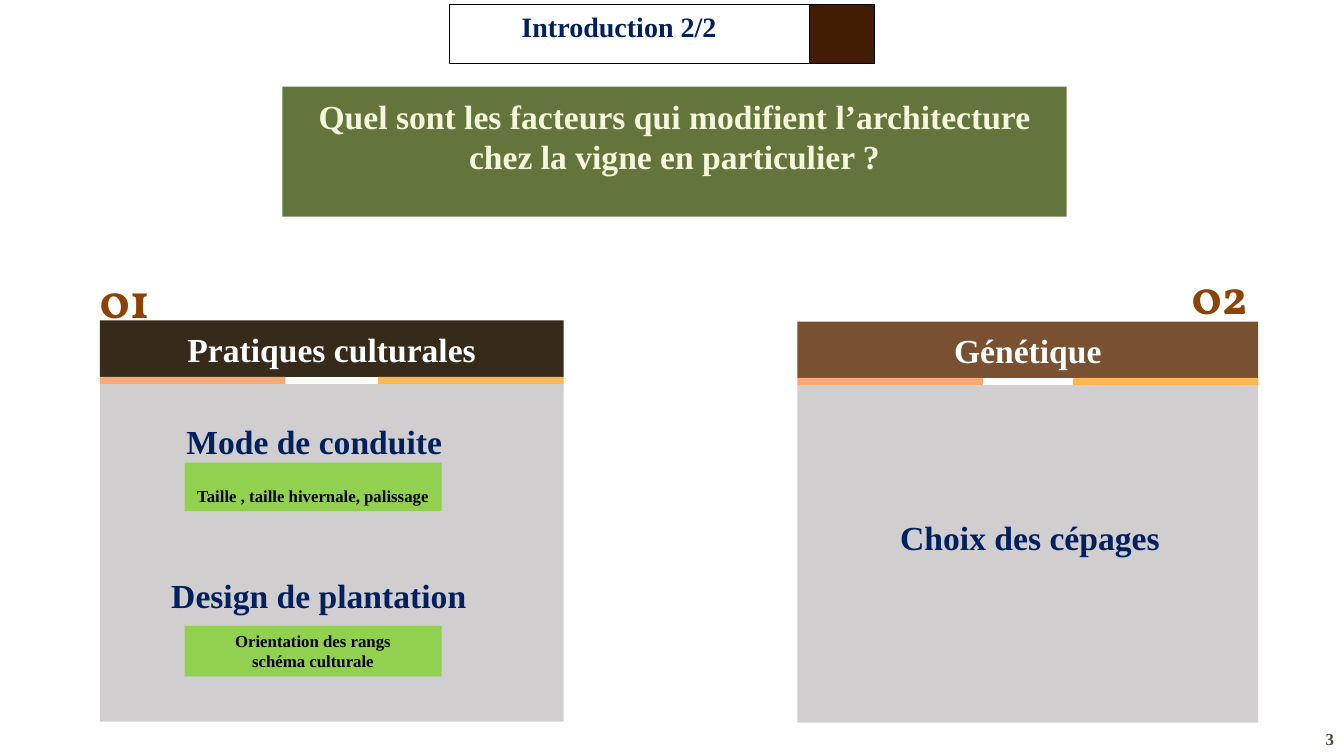
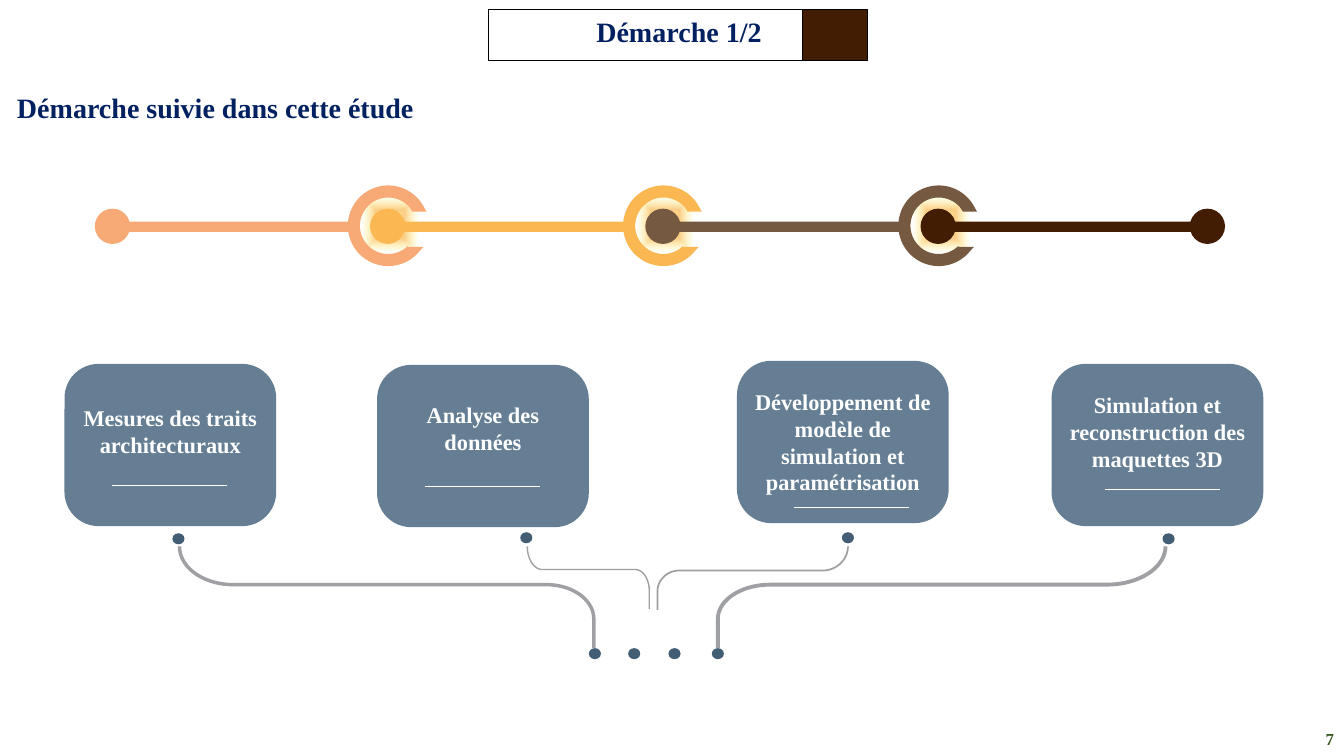
from dataclasses import dataclass
from math import cos, radians, sin
from typing import Any

from lxml.etree import SubElement
from pptx import Presentation
from pptx.dml.color import RGBColor
from pptx.enum.shapes import MSO_CONNECTOR as Link, MSO_SHAPE as Form
from pptx.enum.text import MSO_ANCHOR as Anchor, PP_ALIGN as Align
from pptx.oxml import parse_xml
from pptx.oxml.ns import nsdecls, qn
from pptx.util import Emu, Pt

EMU_PER_PX = 9144
Box = tuple[int, int, int, int]
Point = tuple[float, float]


@dataclass(frozen=True)
class Theme:
    serif: str = "Times New Roman"
    numeral: str = "Vollkorn"
    navy: str = "002060"
    white: str = "FFFFFF"
    black: str = "000000"
    bark: str = "421D04"
    soil: str = "362A1B"
    wood: str = "795030"
    umber: str = "755940"
    peach: str = "F8AA76"
    amber: str = "FBB752"
    rust: str = "8C4303"
    moss: str = "324A00"
    cream: str = "F4F7DA"
    leaf: str = "92D050"
    forest: str = "385723"
    panel: str = "AFABAB"
    slate: str = "657E93"
    ink: str = "435D74"
    wire: str = "9FA0A4"
    small: int = 12
    card: int = 16
    title: int = 20
    heading: int = 24
    number: int = 35


THEME = Theme()
GLOW_STOPS = ((15, "FFFEAA", 100), (31, "FBB752", 70), (63, "FFFB6C", 0))


@dataclass(frozen=True)
class TitleTag:
    text: str
    frame: Box
    label: Box
    page: str
    spacing: float = 1.0


@dataclass(frozen=True)
class Pillar:
    number: str
    number_at: Point
    heading: str
    left: int
    top: int
    width: int
    color: str


@dataclass(frozen=True)
class Step:
    text: str
    left: int
    top: int
    inset: int
    rule: Point
    dot: Point


@dataclass(frozen=True)
class Wire:
    start: Point
    first_end: float
    level: float
    second_start: float
    finish: Point
    drop: float
    weight: float


TAGS = (
    TitleTag("Introduction 2/2", (446, 4, 357, 59), (455, 8, 318, 41), "3", 0.9),
    TitleTag("Démarche 1/2", (484, 9, 312, 51), (487, 9, 373, 44), "7"),
)
PILLARS = (
    Pillar("01", (89, 269), "Pratiques culturales", 99, 318, 460, THEME.soil),
    Pillar("02", (1172, 265), "Génétique", 791, 319, 457, THEME.wood),
)
TOPICS = (
    ("Mode de conduite", (175, 413, 306, 50)),
    ("Design de plantation", (160, 565, 341, 50)),
    ("Choix des cépages", (883, 508, 295, 50)),
)
EXAMPLES = (
    ("Taille , taille hivernale, palissage", (183, 459, 255, 48), Anchor.BOTTOM),
    ("Orientation des rangs\nschéma culturale", (183, 621, 255, 50), Anchor.TOP),
)
STEPS = (
    Step("Mesures des traits architecturaux", 64, 361, 30, (111, 482), (171, 529)),
    Step("Analyse des données", 374, 362, 26, (422, 483), (516, 528)),
    Step("Développement de modèle de simulation et paramétrisation",
         731, 358, 17, (788, 503), (835, 528)),
    Step("Simulation et reconstruction des maquettes 3D",
         1043, 361, 17, (1096, 485), (1153, 529)),
)
WIRES = (
    Wire((178, 542), 231, 580, 542, (589, 643), 34, 2.5),
    Wire((523, 542), 538, 565, 630, (644, 604), 21, 1),
    Wire((841, 542), 816, 566, 674, (652, 605), 21, 1.25),
    Wire((1156, 542), 1098, 580, 764, (712, 643), 34, 2.75),
)
HUB_LEFTS = (584, 623, 663, 706)
STAGE_COLORS = (THEME.peach, THEME.amber, THEME.umber, THEME.bark)
STAGE_START, STAGE_PITCH, AXIS = 112, 273, 225
LAST_STOP = 1198


def px(length: float) -> Emu:
    return Emu(round(length * EMU_PER_PX))


def rgb(color: str) -> RGBColor:
    return RGBColor.from_string(color)


def assign(target: Any, values: dict[str, Any]) -> None:
    for attribute, value in values.items():
        setattr(target, attribute, value)


def paint(shape: Any, fill: str | None, line: str | None = None,
          weight: float = 0.25, alpha: int = 100) -> None:
    shape.shadow.inherit = False
    if fill:
        shape.fill.solid()
        shape.fill.fore_color.rgb = rgb(fill)
        if alpha < 100:
            color = shape.fill._xPr.find(qn("a:solidFill"))[0]
            SubElement(color, qn("a:alpha"), val=str(alpha * 1000))
    else:
        shape.fill.background()
    if line:
        shape.line.color.rgb = rgb(line)
        shape.line.width = Pt(weight)
    else:
        shape.line.fill.background()


def add_form(slide: Any, box: Box, fill: str | None, form: Form = Form.RECTANGLE,
             line: str | None = None, alpha: int = 100) -> Any:
    shape = slide.shapes.add_shape(form, *map(px, box))
    paint(shape, fill, line, alpha=alpha)
    return shape


def write(shape: Any, text: str, size: int, color: str, align: Align = Align.CENTER,
          anchor: Anchor = Anchor.TOP, insets: Box = (10, 5, 10, 5),
          font: str = THEME.serif, spacing: float = 1.0) -> None:
    frame = shape.text_frame
    left, top, right, bottom = map(px, insets)
    assign(frame, {"word_wrap": True, "vertical_anchor": anchor, "margin_left": left,
                   "margin_top": top, "margin_right": right, "margin_bottom": bottom})
    for index, words in enumerate(text.split("\n")):
        paragraph = frame.add_paragraph() if index else frame.paragraphs[0]
        assign(paragraph, {"alignment": align, "line_spacing": spacing})
        run = paragraph.add_run()
        run.text = words
        assign(run.font, {"name": font, "size": Pt(size), "bold": True})
        run.font.color.rgb = rgb(color)


def add_label(slide: Any, box: Box, text: str, size: int, color: str, **style: Any) -> None:
    write(slide.shapes.add_textbox(*map(px, box)), text, size, color, **style)


def add_outline(slide: Any, points: list[Point], closed: bool) -> Any:
    start, *others = [(px(x), px(y)) for x, y in points]
    builder = slide.shapes.build_freeform(*start, scale=1.0)
    builder.add_line_segments(others, close=closed)
    return builder.convert_to_shape()


def add_glow(slide: Any, center: float) -> None:
    glow = add_form(slide, (center - 43, AXIS - 48, 90, 90), THEME.amber, Form.OVAL)
    stops = "".join(
        f'<a:gs pos="{position * 1000}"><a:srgbClr val="{color}">'
        f'<a:alpha val="{alpha * 1000}"/></a:srgbClr></a:gs>'
        for position, color, alpha in GLOW_STOPS)
    gradient = parse_xml(
        f'<a:gradFill {nsdecls("a")}><a:gsLst>{stops}</a:gsLst><a:path path="shape">'
        '<a:fillToRect l="50000" t="50000" r="50000" b="50000"/></a:path></a:gradFill>')
    properties = glow._element.spPr
    properties.replace(properties.find(qn("a:solidFill")), gradient)


def add_ring(slide: Any, center: float, color: str) -> None:
    def arc(radius: int, first: int, last: int, step: int) -> list[Point]:
        return [(radius * cos(radians(a)), -radius * sin(radians(a)))
                for a in range(first, last, step)]

    outline = [*arc(40, 30, 323, 4), (35, 21), (20, 21),
               *arc(28, 314, 38, -4), (24, -14), (38, -14)]
    paint(add_outline(slide, [(center + x, AXIS - 1 + y) for x, y in outline], True), color)


def add_wire(slide: Any, wire: Wire) -> None:
    (x0, y0), (x1, y1) = wire.start, wire.finish
    turns = [radians(a) for a in range(0, 91, 5)]
    points = [(x0 + (wire.first_end - x0) * (1 - cos(t)), y0 + (wire.level - y0) * sin(t))
              for t in turns]
    points += [(wire.second_start + (x1 - wire.second_start) * sin(t),
                wire.level + wire.drop * (1 - cos(t))) for t in turns]
    paint(add_outline(slide, [*points, (x1, y1)], False), None, THEME.wire, wire.weight)


def add_rule(slide: Any, start: Point) -> None:
    x, y = start
    rule = slide.shapes.add_connector(Link.STRAIGHT, px(x), px(y), px(x + 114), px(y))
    rule.line.color.rgb = rgb(THEME.white)
    rule.line.width = Pt(0.5)
    SubElement(rule._element.spPr, qn("a:effectLst"))


def add_tagged_slide(deck: Any, tag: TitleTag) -> Any:
    slide = deck.slides.add_slide(deck.slide_layouts[6])
    left, top, width, height = tag.frame
    add_form(slide, tag.frame, None, line=THEME.black)
    add_form(slide, (left + width, top, 64, height), THEME.bark, line=THEME.black)
    add_label(slide, tag.label, tag.text, THEME.title, THEME.navy, spacing=tag.spacing)
    add_label(slide, (1305, 713, 28, 40), tag.page, THEME.small, THEME.forest,
              align=Align.RIGHT, anchor=Anchor.MIDDLE)
    return slide


def add_pillar(slide: Any, pillar: Pillar) -> None:
    left, top, width = pillar.left, pillar.top, pillar.width
    add_form(slide, (left, top + 63, width, 335), THEME.panel, alpha=58)
    header = add_form(slide, (left, top, width, 56), pillar.color)
    write(header, pillar.heading, THEME.heading, THEME.white,
          anchor=Anchor.MIDDLE, insets=(13, 13, 13, 13))
    for stripe_left, color in ((left, THEME.peach), (left + width - 184, THEME.amber)):
        add_form(slide, (stripe_left, top + 56, 184, 7), color)
    add_label(slide, (*pillar.number_at, 94, 55), pillar.number, THEME.number, THEME.rust,
              align=Align.LEFT, anchor=Anchor.MIDDLE, insets=(10, 10, 10, 10),
              font=THEME.numeral)


def build_factors(deck: Any) -> None:
    slide = add_tagged_slide(deck, TAGS[0])
    question = add_form(slide, (280, 86, 778, 129), THEME.moss, alpha=76)
    write(question, "Quel sont les facteurs qui modifient l’architecture "
          "chez la vigne en particulier ?", THEME.heading, THEME.cream,
          insets=(13, 9, 13, 13))
    for pillar in PILLARS:
        add_pillar(slide, pillar)
    for text, box in TOPICS:
        add_label(slide, box, text, THEME.heading, THEME.navy, align=Align.LEFT)
    for text, box, anchor in EXAMPLES:
        write(add_form(slide, box, THEME.leaf), text, THEME.small, THEME.black, anchor=anchor)


def build_timeline(slide: Any) -> None:
    centers = [STAGE_START + STAGE_PITCH * i for i in range(len(STAGE_COLORS))]
    for center in centers[1:]:
        add_glow(slide, center)
    for center, color in zip([*centers, LAST_STOP], [*STAGE_COLORS, THEME.bark]):
        add_form(slide, (center - 18, AXIS - 18, 35, 35), color, Form.OVAL)
    for center, color in zip(centers[1:], STAGE_COLORS):
        add_ring(slide, center, color)
    for center, color in zip(centers, STAGE_COLORS):
        width = 238 if center == centers[-1] else 220
        add_form(slide, (center + 14, AXIS - 5, width, 10), color)


def build_approach(deck: Any) -> None:
    slide = add_tagged_slide(deck, TAGS[1])
    add_label(slide, (7, 85, 537, 44), "Démarche suivie dans cette étude",
              THEME.title, THEME.navy, align=Align.LEFT)
    build_timeline(slide)
    for wire in WIRES:
        add_wire(slide, wire)
    for step in STEPS:
        card = add_form(slide, (step.left, step.top, 210, 161), THEME.slate,
                        Form.ROUNDED_RECTANGLE)
        card.adjustments[0] = 0.21
        write(card, step.text, THEME.card, THEME.white, insets=(1, step.inset, 1, 0))
        add_rule(slide, step.rule)
    for left, top in [*(step.dot for step in STEPS), *((x, 643) for x in HUB_LEFTS)]:
        add_form(slide, (left, top, 12, 11), THEME.ink, Form.OVAL)


def main() -> None:
    deck = Presentation()
    assign(deck, {"slide_width": px(1333), "slide_height": px(750)})
    build_factors(deck)
    build_approach(deck)
    deck.save("out.pptx")


if __name__ == "__main__":
    main()
